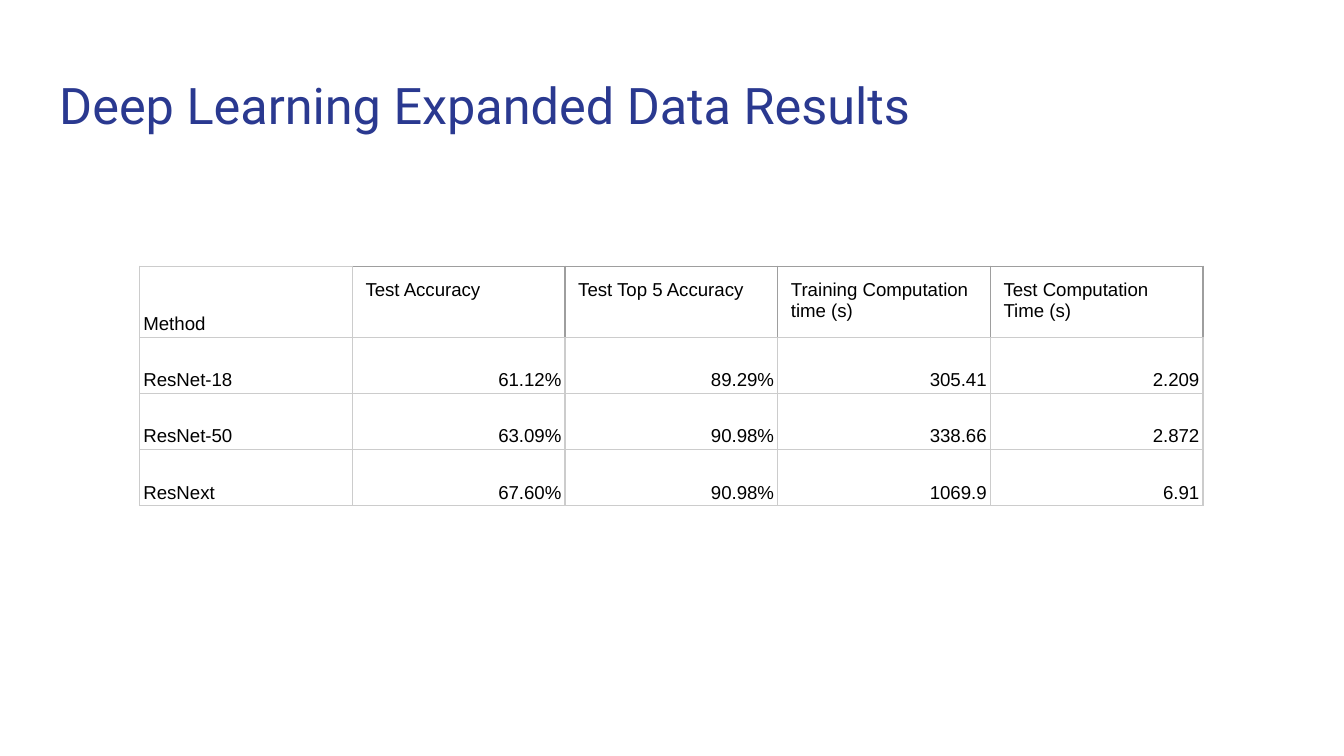
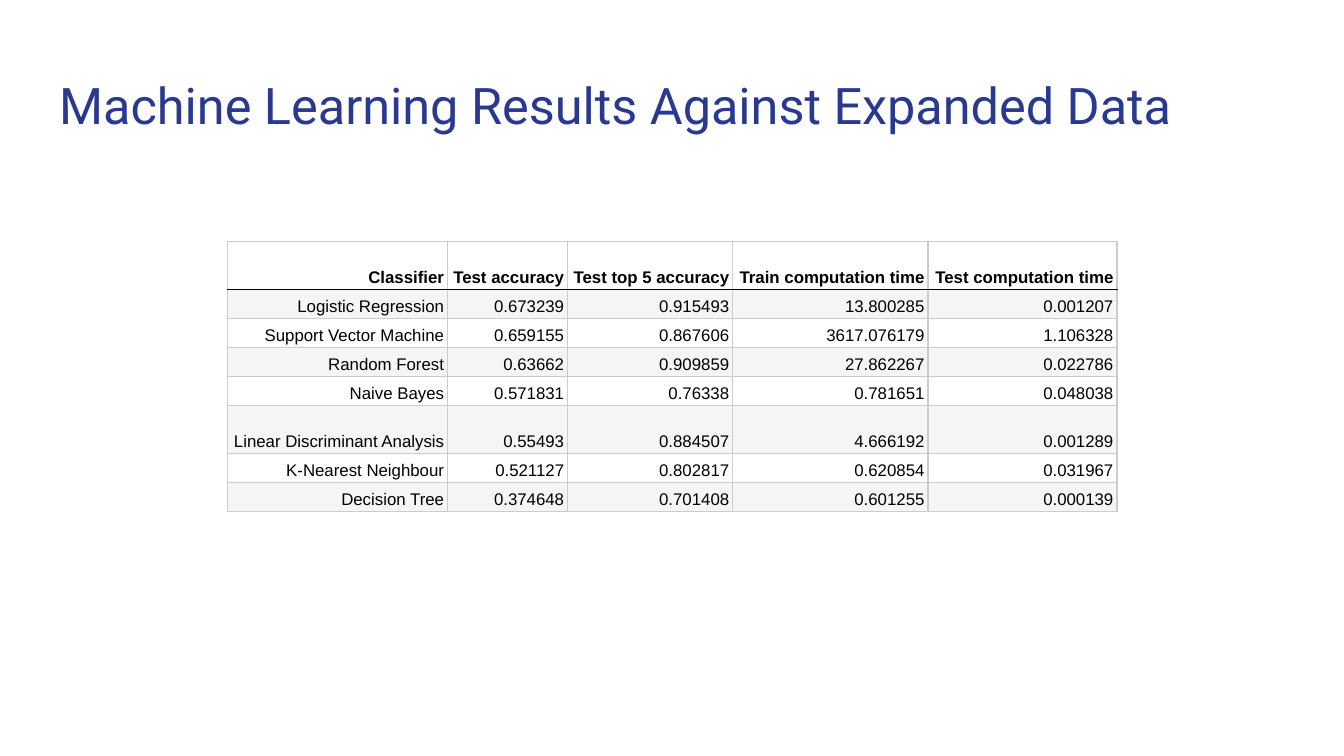
from lxml import etree
from pptx import Presentation
from pptx import util as u
from pptx.dml.color import RGBColor
from pptx.enum import text
from pptx.oxml.ns import qn

WHITE, BLACK, NAVY = "FFFFFF", "000000", "2A3990"
STRIPE, LIGHT_LINE, DARK_LINE = "F5F5F5", "CCCCCC", "9E9E9E"


def color(hex_string):
    return RGBColor.from_string(hex_string)


def set_borders(cell, left, right, top, bottom):
    properties = cell._tc.get_or_add_tcPr()
    for side, line_color in zip("LRTB", (left, right, top, bottom)):
        line = etree.SubElement(properties, qn(f"a:ln{side}"), w=str(u.Pt(0.75)))
        fill = etree.SubElement(line, qn("a:solidFill"))
        etree.SubElement(fill, qn("a:srgbClr"), val=line_color)


deep_learning = {
    "title": "Deep Learning Expanded Data Results",
    "left": 2.64, "top": 5.03, "size": 10, "striped": False,
    "widths": [4.02] * 5,
    "heights": [1.3] + [1.06] * 3,
    "rows": [
        ["Method", "Test Accuracy", "Test Top 5 Accuracy",
         "Training Computation time (s)", "Test Computation Time (s)"],
        ["ResNet-18", "61.12%", "89.29%", "305.41", "2.209"],
        ["ResNet-50", "63.09%", "90.98%", "338.66", "2.872"],
        ["ResNext", "67.60%", "90.98%", "1069.9", "6.91"],
    ],
}
machine_learning = {
    "title": "Machine Learning Results Against Expanded Data",
    "left": 4.3, "top": 4.57, "size": 9, "striped": True,
    "widths": [4.16, 2.27, 3.12, 3.69, 3.57],
    "heights": [0.9] + [0.55] * 4 + [0.9] + [0.55] * 2,
    "rows": [
        ["Classifier", "Test accuracy", "Test top 5 accuracy",
         "Train computation time", "Test computation time"],
        ["Logistic Regression", "0.673239", "0.915493", "13.800285", "0.001207"],
        ["Support Vector Machine", "0.659155", "0.867606", "3617.076179", "1.106328"],
        ["Random Forest", "0.63662", "0.909859", "27.862267", "0.022786"],
        ["Naive Bayes", "0.571831", "0.76338", "0.781651", "0.048038"],
        ["Linear Discriminant Analysis", "0.55493", "0.884507", "4.666192", "0.001289"],
        ["K-Nearest Neighbour", "0.521127", "0.802817", "0.620854", "0.031967"],
        ["Decision Tree", "0.374648", "0.701408", "0.601255", "0.000139"],
    ],
}

deck = Presentation()
deck.slide_width, deck.slide_height = u.Cm(25.4), u.Cm(14.29)

for results in (deep_learning, machine_learning):
    page = deck.slides.add_slide(deck.slide_layouts[6])
    page.background.fill.solid()
    page.background.fill.fore_color.rgb = color(WHITE)

    box = page.shapes.add_textbox(u.Cm(0.87), u.Cm(1.14), u.Cm(23.67), u.Cm(1.68))
    frame = box.text_frame
    frame.word_wrap = True
    frame.vertical_anchor = text.MSO_ANCHOR.MIDDLE
    frame.margin_left = frame.margin_right = u.Cm(0.25)
    frame.margin_top = frame.margin_bottom = u.Cm(0.25)
    frame.text = results["title"]
    span = frame.paragraphs[0].runs[0]
    span.font.name, span.font.size = "Roboto", u.Pt(27)
    span.font.color.rgb = color(NAVY)

    rows, widths, heights = results["rows"], results["widths"], results["heights"]
    striped = results["striped"]
    table = page.shapes.add_table(
        len(rows), len(widths), u.Cm(results["left"]), u.Cm(results["top"]),
        u.Cm(sum(widths)), u.Cm(sum(heights))).table
    table.first_row = table.horz_banding = False
    for column, width in zip(table.columns, widths):
        column.width = u.Cm(width)
    for row, height in zip(table.rows, heights):
        row.height = u.Cm(height)

    for r, values in enumerate(rows):
        for c, value in enumerate(values):
            cell = table.cell(r, c)
            cell.text = value
            para = cell.text_frame.paragraphs[0]
            roomy = not striped and r == 0 and c > 0
            if roomy:
                cell.vertical_anchor = text.MSO_ANCHOR.TOP
                side_margin = end_margin = u.Cm(0.25)
            else:
                cell.vertical_anchor = text.MSO_ANCHOR.BOTTOM
                side_margin, end_margin = u.Cm(0.07), u.Cm(0.05)
                para.line_spacing = 1.15
            cell.margin_left = cell.margin_right = side_margin
            cell.margin_top = cell.margin_bottom = end_margin
            right_aligned = striped or (r > 0 and c > 0)
            para.alignment = text.PP_ALIGN.RIGHT if right_aligned else text.PP_ALIGN.LEFT

            font = para.runs[0].font
            font.name, font.size = "Arial", u.Pt(results["size"])
            font.bold = striped and r == 0
            font.color.rgb = color(BLACK)

            left = right = top = bottom = LIGHT_LINE
            if roomy:
                left = DARK_LINE if c > 1 else LIGHT_LINE
                right = top = DARK_LINE
            if striped and r == 0:
                bottom = BLACK
            if striped and r == 1:
                top = BLACK
            set_borders(cell, left, right, top, bottom)
            cell.fill.solid()
            cell.fill.fore_color.rgb = color(STRIPE if striped and r % 2 else WHITE)

deck.save("out.pptx")
